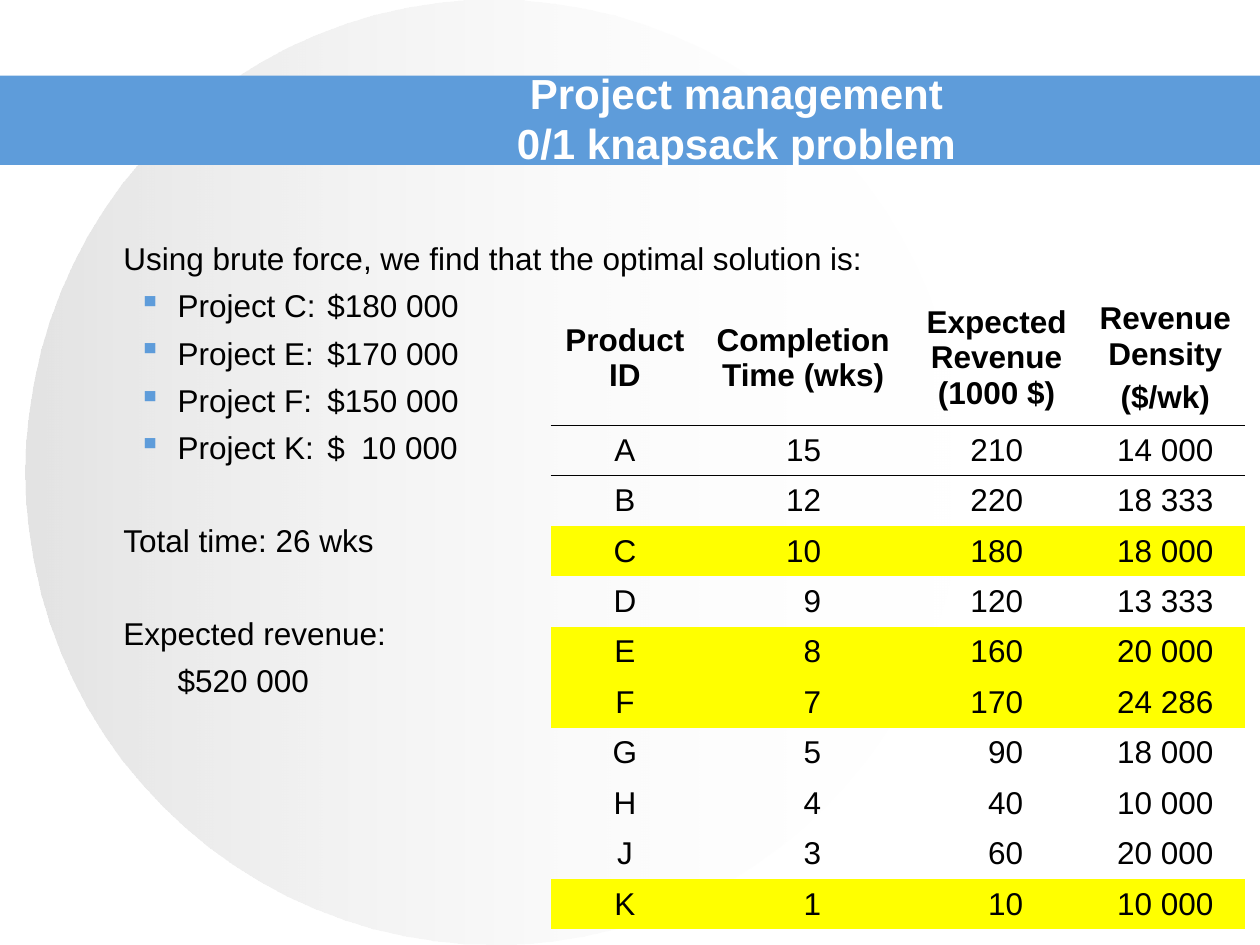
"""Build the knapsack slide with its text and project table."""
import dataclasses

import lxml.etree
import pptx
import pptx.dml.color
import pptx.enum.shapes
import pptx.enum.text
import pptx.oxml.ns
import pptx.util

Pt = pptx.util.Pt
ALIGN = pptx.enum.text.PP_ALIGN
ANCHOR = pptx.enum.text.MSO_ANCHOR
SHAPE = pptx.enum.shapes.MSO_SHAPE
BLUE, BLACK, WHITE, YELLOW, GREY = "5E9CDA", "000000", "FFFFFF", "FFFF00", "C0C0C0"
PLAIN = "{2D5ABB26-0587-4C30-8999-92F81FD0307C}"


@dataclasses.dataclass
class Line:
    text: str
    left: float = 27.4
    gap: float = 5.4
    dot: bool = False


@dataclasses.dataclass
class Column:
    head: str
    width: float
    align: ALIGN = ALIGN.CENTER
    right: float = 7.2


@dataclasses.dataclass
class Project:
    name: str
    weeks: str
    value: str
    rate: str
    picked: bool = False


LINES = [
    Line("Using brute force, we find that the optimal solution is:", gap=0),
    Line("Project C:\t$180 000", 58.4, dot=True),
    Line("Project E:\t$170 000", 58.4, dot=True),
    Line("Project F:\t$150 000", 58.4, dot=True),
    Line("Project K:\t$\t10 000", 58.4, dot=True),
    Line("Total time: 26 wks", gap=31.5),
    Line("Expected revenue:", gap=31.5),
    Line("$520 000", 58.4),
]
COLUMNS = [
    Column("Product ID", 85),
    Column("Completion Time (wks)", 118.8, ALIGN.RIGHT, 49.2),
    Column("Expected Revenue (1000 $)", 102.2, ALIGN.RIGHT, 36),
    Column("Revenue Density\n($/wk)", 90.7),
]
PROJECTS = [
    Project("A", "15", "210", "14 000"),
    Project("B", "12", "220", "18 333"),
    Project("C", "10", "180", "18 000", True),
    Project("D", "9", "120", "13 333"),
    Project("E", "8", "160", "20 000", True),
    Project("F", "7", "170", "24 286", True),
    Project("G", "5", "90", "18 000"),
    Project("H", "4", "40", "10 000"),
    Project("J", "3", "60", "20 000"),
    Project("K", "1", "10", "10 000", True),
]


def tint(code: str) -> pptx.dml.color.RGBColor:
    return pptx.dml.color.RGBColor.from_string(code)


def add_node(parent, tag: str, **attrs: str):
    node = lxml.etree.SubElement(parent, pptx.oxml.ns.qn(tag))
    for key, value in attrs.items():
        node.set(key, value)
    return node


def style(para, size: float, color: str, bold: bool = False) -> None:
    for run in para.runs:
        run.font.name = "Arial"
        run.font.size = Pt(size)
        run.font.bold = bold
        run.font.color.rgb = tint(color)


def add_shape(slide, kind, left: float, top: float, width: float, height: float):
    shape = slide.shapes.add_shape(kind, Pt(left), Pt(top), Pt(width), Pt(height))
    shape.shadow.inherit = False
    shape.line.fill.background()
    return shape


def draw_back(slide) -> None:
    disc = add_shape(slide, SHAPE.OVAL, 14.4, 0, 535.7, 540)
    disc.fill.gradient()
    disc.fill.gradient_angle = 0
    for stop, color in zip(disc.fill.gradient_stops, (GREY, WHITE)):
        stop.color.rgb = tint(color)
    colors = disc._element.spPr.xpath(".//a:gs/a:srgbClr")
    for node, alpha in zip(colors, ("44000", "0")):
        add_node(node, "a:alpha", val=alpha)
    band = add_shape(slide, SHAPE.RECTANGLE, 0, 43.2, 720, 51.1)
    band.fill.solid()
    band.fill.fore_color.rgb = tint(BLUE)


def add_text(slide, left: float, top: float, width: float, height: float):
    frame = slide.shapes.add_textbox(Pt(left), Pt(top), Pt(width), Pt(height)).text_frame
    frame.word_wrap = True
    return frame


def draw_title(slide) -> None:
    frame = add_text(slide, 123.8, 48.2, 594, 38.2)
    frame.vertical_anchor = ANCHOR.MIDDLE
    frame.text = "Project management\v0/1 knapsack problem"
    para = frame.paragraphs[0]
    para.alignment = ALIGN.CENTER
    style(para, 24, WHITE, True)


def draw_lines(slide) -> None:
    frame = add_text(slide, 36, 133, 651, 364)
    frame.text = "\n".join(line.text for line in LINES)
    for para, line in zip(frame.paragraphs, LINES):
        props = para._p.get_or_add_pPr()
        props.set("marL", str(Pt(line.left)))
        props.set("indent", str(Pt(-22.4 if line.dot else 0)))
        if line.dot:
            add_node(add_node(props, "a:buClr"), "a:srgbClr", val=BLUE)
            add_node(props, "a:buChar", char="▪")
            tabs = add_node(props, "a:tabLst")
            add_node(tabs, "a:tab", pos=str(Pt(144)), algn="l")
            add_node(tabs, "a:tab", pos=str(Pt(218.5)), algn="r")
        else:
            add_node(props, "a:buNone")
        para.space_before = Pt(line.gap)
        style(para, 18, BLACK)


def rule(cell, tag: str) -> None:
    edge = lxml.etree.Element(pptx.oxml.ns.qn(tag), w=str(Pt(0.45)))
    add_node(add_node(edge, "a:solidFill"), "a:srgbClr", val=BLACK)
    cell._tc.get_or_add_tcPr().insert(0, edge)


def fill_cell(cell, text: str, align: ALIGN, bold: bool, color: str = "") -> None:
    cell.text = text
    cell.vertical_anchor = ANCHOR.MIDDLE
    for index, para in enumerate(cell.text_frame.paragraphs):
        para.alignment = align
        para.space_before = Pt(4.5 if index else 0)
        style(para, 18, BLACK, bold)
    if color:
        cell.fill.solid()
        cell.fill.fore_color.rgb = tint(color)
    else:
        cell.fill.background()


def draw_table(slide) -> None:
    width = sum(column.width for column in COLUMNS)
    shape = slide.shapes.add_table(len(PROJECTS) + 1, len(COLUMNS),
                                   Pt(314.6), Pt(166.3), Pt(width), Pt(364.3))
    table = shape.table
    table.first_row = table.horz_banding = False
    table._tbl.tblPr[0].text = PLAIN
    for index, row in enumerate(table.rows):
        row.height = Pt(28.8 if index else 76.3)
    for index, column in enumerate(COLUMNS):
        table.columns[index].width = Pt(column.width)
        head = table.cell(0, index)
        fill_cell(head, column.head, ALIGN.CENTER, True)
        rule(head, "a:lnB")
        for place, project in enumerate(PROJECTS, 1):
            cell = table.cell(place, index)
            text = (project.name, project.weeks, project.value, project.rate)[index]
            fill_cell(cell, text, column.align, False, YELLOW if project.picked else "")
            cell.margin_right = Pt(column.right)
        rule(table.cell(1, index), "a:lnT")


def main() -> None:
    deck = pptx.Presentation()
    deck.slide_width, deck.slide_height = Pt(720), Pt(540)
    slide = deck.slides.add_slide(deck.slide_layouts[6])
    draw_back(slide)
    draw_title(slide)
    draw_lines(slide)
    draw_table(slide)
    deck.save("out.pptx")


if __name__ == "__main__":
    main()
